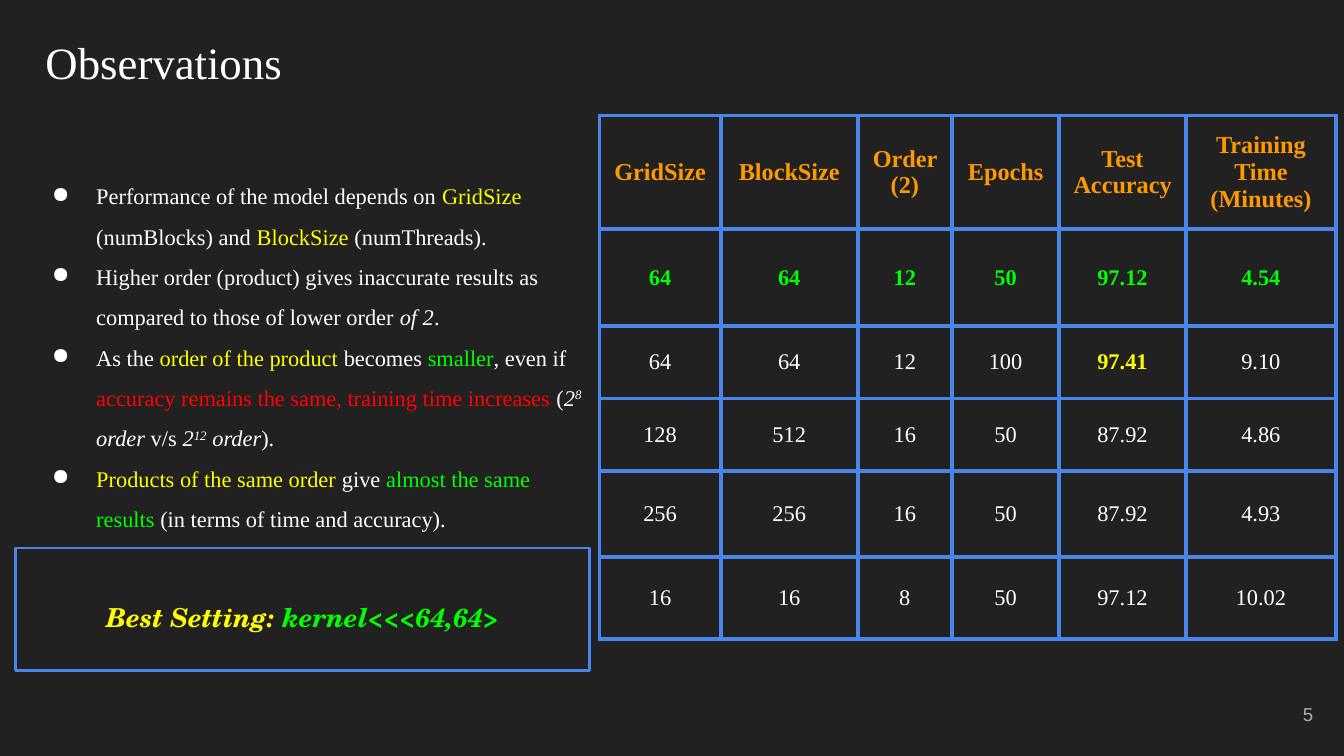
from dataclasses import dataclass

from lxml.etree import SubElement
from pptx import Presentation
from pptx.dml.color import RGBColor as Color
from pptx.enum.shapes import MSO_SHAPE as Shape
from pptx.enum.text import MSO_ANCHOR as Anchor, PP_ALIGN as Align
from pptx.oxml.ns import qn
from pptx.util import Cm, Pt


@dataclass(frozen=True)
class Theme:
    background: str = "212121"
    white: str = "FFFFFF"
    yellow: str = "FFFF00"
    green: str = "00FF00"
    red: str = "FF0000"
    orange: str = "FF9900"
    gray: str = "ADADAD"
    blue: str = "4A86E8"
    serif: str = "Times New Roman"
    sans: str = "Arial"
    display: str = "TeX Gyre Schola"
    title_size: float = 24
    banner_size: float = 14
    header_size: float = 13
    body_size: float = 12
    number_size: float = 10
    grid_width: float = 2.25
    frame_width: float = 1.5


THEME = Theme()

# Each run is its text, then any of: a theme colour name, "italic", "super".
OBSERVATIONS = [
    [("Performance of the model depends on ",), ("GridSize ", "yellow"),
     ("(numBlocks) and ",), ("BlockSize ", "yellow"), ("(numThreads).",)],
    [("Higher order (product) gives inaccurate results as compared to those of lower order",),
     (" of 2", "italic"), (".",)],
    [("As the ",), ("order of the product", "yellow"), (" becomes ",), ("smaller", "green"),
     (", even if ",), ("accuracy remains the same, training time increases", "red"),
     (" (",), ("2", "italic"), ("8 ", "italic", "super"), ("order", "italic"), (" v/s ",),
     ("2", "italic"), ("12", "italic", "super"), (" order", "italic"), (").",)],
    [("Products of the same order ", "yellow"), ("give ",),
     ("almost the same results", "green"), (" (in terms of time and accuracy).",)],
]
BEST_SETTING = [("Best Setting: ", "yellow"), ("kernel<<<64,64>", "green")]

HEADERS = ["GridSize", "BlockSize", "Order (2)", "Epochs", "Test Accuracy",
           "Training Time (Minutes)"]
RESULTS = [
    ["64", "64", "12", "50", "97.12", "4.54"],
    ["64", "64", "12", "100", "97.41", "9.10"],
    ["128", "512", "16", "50", "87.92", "4.86"],
    ["256", "256", "16", "50", "87.92", "4.93"],
    ["16", "16", "8", "50", "97.12", "10.02"],
]
FASTEST_ROW = 1
MOST_ACCURATE_CELL = (2, 4)

# Centimetres: left, top, width, height.
TITLE_AREA = (0.61, 0.33, 24.03, 1.68)
NUMBER_AREA = (23.55, 12.95, 1.52, 1.09)
LIST_AREA = (0.3, 2.18, 11.02, 8.89)
BANNER_AREA = (0.3, 10.36, 10.85, 2.31)
TABLE_CORNER = (11.33, 2.18)
COLUMN_WIDTHS = [2.29, 2.59, 1.78, 2.03, 2.39, 2.84]
ROW_HEIGHTS = [1.19, 1.83, 1.37, 1.37, 1.63, 1.55]
INSET = 0.25


def lengths(values):
    return [Cm(value) for value in values]


def set_insets(holder):
    """Give a text frame or a table cell the same margin on every side."""
    holder.margin_left = holder.margin_right = Cm(INSET)
    holder.margin_top = holder.margin_bottom = Cm(INSET)
    holder.vertical_anchor = Anchor.MIDDLE


def write(para, runs, size, color=THEME.white, name=THEME.serif, bold=False,
          italic=False, align=Align.LEFT, spacing=None):
    """Set the shared font on the paragraph and only the exceptions on its runs."""
    para.alignment = align
    if spacing:
        para.line_spacing = spacing
    font = para.font
    font.name, font.size, font.bold, font.italic = name, Pt(size), bold, italic
    font.color.rgb = Color.from_string(color)
    for text, *styles in runs:
        span = para.add_run()
        span.text = text
        for style in styles:
            if style == "italic":
                span.font.italic = True
            elif style == "super":
                span.font._element.set("baseline", "30000")
            else:
                span.font.color.rgb = Color.from_string(getattr(THEME, style))


def add_bullet(para):
    properties = para._p.get_or_add_pPr()
    properties.set("marL", str(Cm(1.27)))
    properties.set("indent", str(-Cm(0.84)))
    bullet_color = SubElement(properties, qn("a:buClr"))
    SubElement(bullet_color, qn("a:srgbClr"), val=THEME.white)
    SubElement(properties, qn("a:buChar"), char="●")
    # The schema wants the default font after the bullet.
    properties.append(properties.find(qn("a:defRPr")))


def add_box(slide, area):
    box = slide.shapes.add_textbox(*lengths(area))
    box.text_frame.word_wrap = True
    set_insets(box.text_frame)
    return box.text_frame


def add_observations(slide):
    frame = add_box(slide, LIST_AREA)
    for index, runs in enumerate(OBSERVATIONS):
        para = frame.add_paragraph() if index else frame.paragraphs[0]
        write(para, runs, THEME.body_size, spacing=1.5)
        add_bullet(para)


def add_banner(slide):
    banner = slide.shapes.add_shape(Shape.RECTANGLE, *lengths(BANNER_AREA))
    banner.shadow.inherit = False
    banner.fill.background()
    banner.line.color.rgb = Color.from_string(THEME.blue)
    banner.line.width = Pt(THEME.frame_width)
    set_insets(banner.text_frame)
    write(banner.text_frame.paragraphs[0], BEST_SETTING, THEME.banner_size,
          name=THEME.display, bold=True, italic=True, align=Align.CENTER, spacing=1.5)


def add_borders(cell):
    properties = cell._tc.get_or_add_tcPr()
    for side in ("lnL", "lnR", "lnT", "lnB"):
        line = SubElement(properties, qn(f"a:{side}"), w=str(Pt(THEME.grid_width)))
        SubElement(SubElement(line, qn("a:solidFill")), qn("a:srgbClr"), val=THEME.blue)


def cell_style(row, column):
    if row == 0:
        return {"size": THEME.header_size, "color": THEME.orange, "bold": True}
    if row == FASTEST_ROW:
        return {"size": THEME.body_size, "color": THEME.green, "bold": True}
    if (row, column) == MOST_ACCURATE_CELL:
        return {"size": THEME.body_size, "color": THEME.yellow, "bold": True}
    return {"size": THEME.body_size}


def add_results(slide):
    rows = [HEADERS, *RESULTS]
    size = (sum(COLUMN_WIDTHS), sum(ROW_HEIGHTS))
    table = slide.shapes.add_table(len(rows), len(HEADERS),
                                   *lengths(TABLE_CORNER + size)).table
    table.first_row = table.horz_banding = False
    for column, width in zip(table.columns, COLUMN_WIDTHS):
        column.width = Cm(width)
    for row, height in zip(table.rows, ROW_HEIGHTS):
        row.height = Cm(height)
    for row, values in enumerate(rows):
        for column, value in enumerate(values):
            cell = table.cell(row, column)
            set_insets(cell)
            add_borders(cell)
            cell.fill.background()
            write(cell.text_frame.paragraphs[0], [(value,)], align=Align.CENTER,
                  **cell_style(row, column))


def main():
    deck = Presentation()
    deck.slide_width, deck.slide_height = Cm(25.4), Cm(14.29)
    slide = deck.slides.add_slide(deck.slide_layouts[6])
    slide.background.fill.solid()
    slide.background.fill.fore_color.rgb = Color.from_string(THEME.background)

    write(add_box(slide, TITLE_AREA).paragraphs[0], [("Observations",)], THEME.title_size)
    write(add_box(slide, NUMBER_AREA).paragraphs[0], [("5",)], THEME.number_size,
          color=THEME.gray, name=THEME.sans, align=Align.RIGHT)
    add_results(slide)
    add_observations(slide)
    add_banner(slide)
    deck.save("out.pptx")


if __name__ == "__main__":
    main()
